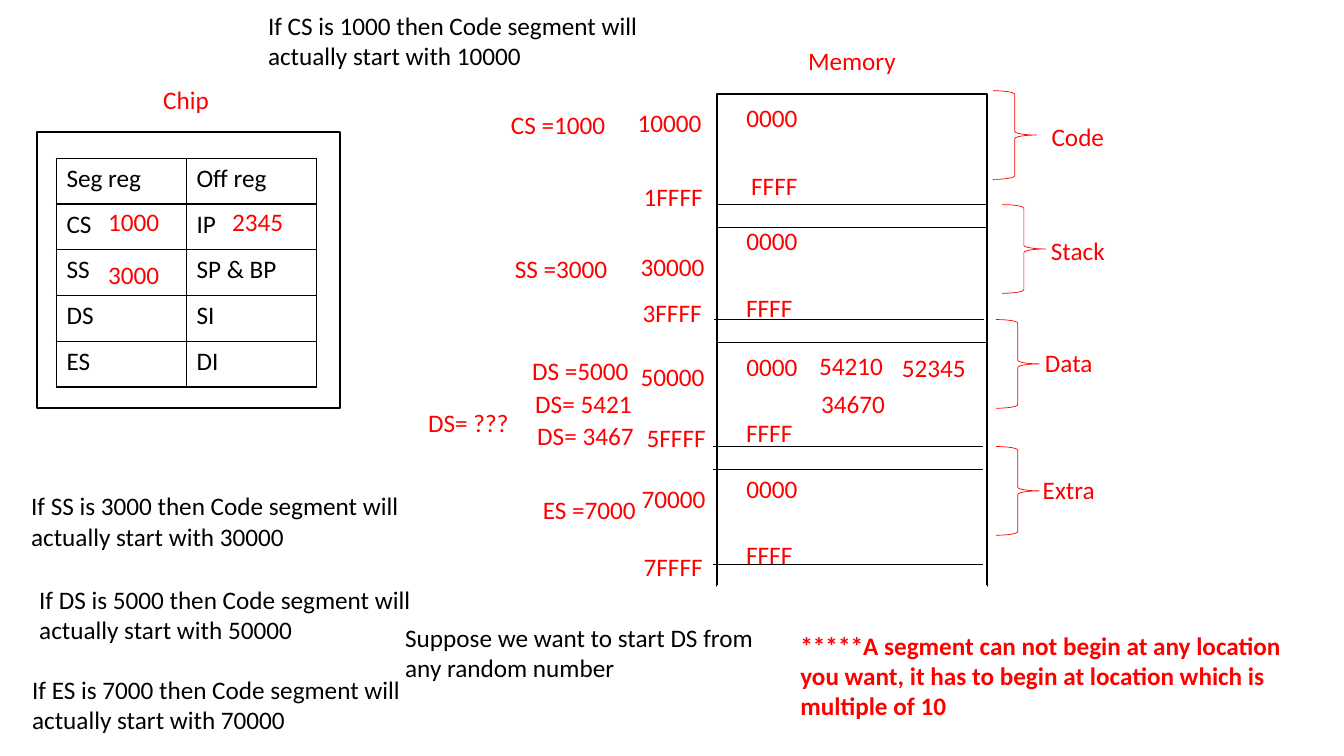
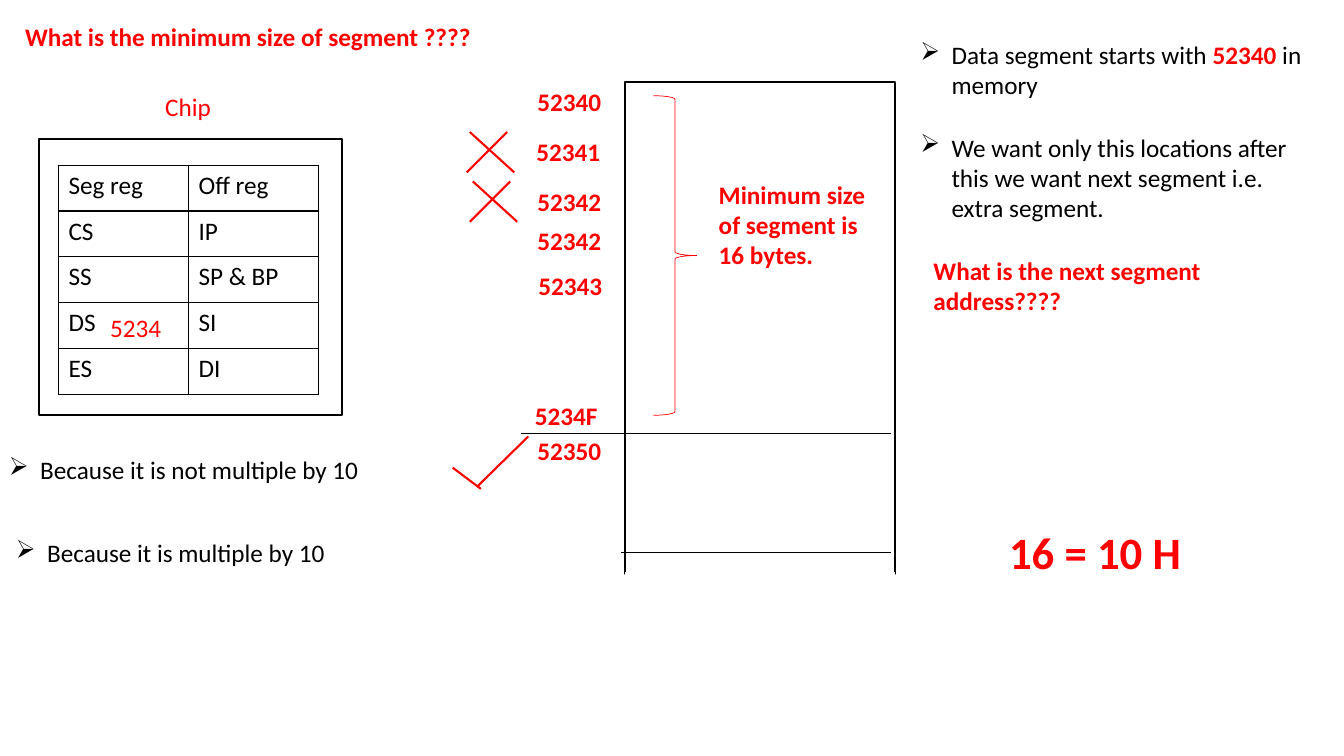
from dataclasses import dataclass

from lxml.etree import SubElement
from pptx import Presentation
from pptx.dml.color import RGBColor
from pptx.enum.shapes import MSO_CONNECTOR, MSO_SHAPE
from pptx.enum.text import MSO_AUTO_SIZE, PP_ALIGN
from pptx.oxml import parse_xml
from pptx.oxml.ns import nsdecls, qn
from pptx.slide import Slide
from pptx.util import Inches, Pt

# Shared look
FONT = "Calibri"
BLACK, RED, WHITE = "000000", "FF0000", "FFFFFF"
THICK, THIN = 1.5, 0.5
LINE_HEIGHT, TEXT_PADDING = 0.3, 0.1
BULLET_INDENT = 0.31
REGISTERS = [("Seg reg", "Off reg"), ("CS", "IP"), ("SS", "SP & BP"),
             ("DS", "SI"), ("ES", "DI")]


@dataclass
class Span:
    text: str
    color: str = BLACK
    bold: bool = False
    size: int = 18


@dataclass
class Label:
    """A short centred red text."""
    text: str
    left: float
    top: float
    width: float
    bold: bool = False
    wrap: bool = False


@dataclass
class Note:
    """A left-aligned block; each inner list is a paragraph."""
    paragraphs: list[list[Span]]
    left: float
    top: float
    width: float
    height: float
    bullet: bool = False


@dataclass
class Line:
    x1: float
    y1: float
    x2: float
    y2: float
    color: str = BLACK
    weight: float = THIN


@dataclass
class Segment:
    """A memory segment with its offsets and its brace."""
    name: str
    name_left: float
    name_top: float
    brace_left: float
    brace_top: float
    first_top: float
    last_left: float
    last_top: float


# Drawing functions
def rgb(color: str) -> RGBColor:
    return RGBColor.from_string(color)


def add_span(para, span: Span) -> None:
    run = para.add_run()
    run.text = span.text
    run.font.name = FONT
    run.font.size = Pt(span.size)
    run.font.bold = span.bold
    run.font.color.rgb = rgb(span.color)


def add_box(page: Slide, left: float, top: float, width: float, height: float,
            wrap: bool):
    box = page.shapes.add_textbox(Inches(left), Inches(top), Inches(width), Inches(height))
    box.text_frame.word_wrap = wrap
    box.text_frame.auto_size = MSO_AUTO_SIZE.SHAPE_TO_FIT_TEXT
    return box.text_frame


def add_label(page: Slide, label: Label) -> None:
    frame = add_box(page, label.left, label.top, label.width,
                    LINE_HEIGHT + TEXT_PADDING, label.wrap)
    para = frame.paragraphs[0]
    para.alignment = PP_ALIGN.CENTER
    add_span(para, Span(label.text, RED, label.bold))


def add_bullet(para) -> None:
    properties = para._p.get_or_add_pPr()
    properties.set("marL", str(Inches(BULLET_INDENT)))
    properties.set("indent", str(-Inches(BULLET_INDENT)))
    SubElement(properties, qn("a:buChar")).set("char", "\u27a2")


def add_note(page: Slide, note: Note) -> None:
    frame = add_box(page, note.left, note.top, note.width, note.height, True)
    for index, spans in enumerate(note.paragraphs):
        para = frame.add_paragraph() if index else frame.paragraphs[0]
        para.alignment = PP_ALIGN.LEFT
        if note.bullet:
            add_bullet(para)
        for span in spans:
            add_span(para, span)


def text_note(text: str, left: float, top: float, width: float, lines: int,
              color: str = BLACK, bold: bool = False, bullet: bool = False) -> Note:
    height = lines * LINE_HEIGHT + TEXT_PADDING
    return Note([[Span(text, color, bold)]], left, top, width, height, bullet)


def add_outline(page: Slide, kind: MSO_SHAPE, left: float, top: float, width: float,
                height: float, color: str, weight: float) -> None:
    shape = page.shapes.add_shape(kind, Inches(left), Inches(top), Inches(width),
                                  Inches(height))
    shape.shadow.inherit = False
    shape.fill.background()
    shape.line.color.rgb = rgb(color)
    shape.line.width = Pt(weight)


def add_brace(page: Slide, left: float, top: float, height: float) -> None:
    add_outline(page, MSO_SHAPE.RIGHT_BRACE, left, top, 0.43, height, RED, THIN)


def add_line(page: Slide, line: Line) -> None:
    connector = page.shapes.add_connector(
        MSO_CONNECTOR.STRAIGHT, Inches(line.x1), Inches(line.y1),
        Inches(line.x2), Inches(line.y2))
    connector.line.color.rgb = rgb(line.color)
    connector.line.width = Pt(line.weight)
    SubElement(connector._element.spPr, qn("a:effectLst"))


def add_memory(page: Slide, left: float, top: float, dividers: list[Line]) -> None:
    """Memory column whose bottom edge is left open."""
    width, height = 2.68, 4.88
    add_outline(page, MSO_SHAPE.RECTANGLE, left, top, width, height, BLACK, THICK)
    for divider in dividers:
        add_line(page, divider)
    bottom = top + height
    add_line(page, Line(left, bottom, left + width, bottom, WHITE, THICK))


def add_cell_borders(cell) -> None:
    properties = cell._tc.get_or_add_tcPr()
    for index, side in enumerate(("lnL", "lnR", "lnT", "lnB")):
        properties.insert(index, parse_xml(
            f'<a:{side} {nsdecls("a")} w="{Pt(1)}"><a:solidFill>'
            f'<a:srgbClr val="{BLACK}"/></a:solidFill></a:{side}>'))


def add_processor(page: Slide, left: float, top: float) -> None:
    """Framed register table with its heading."""
    add_outline(page, MSO_SHAPE.RECTANGLE, left, top, 3, 2.74, BLACK, THICK)
    frame = page.shapes.add_table(
        len(REGISTERS), 2, Inches(left + 0.19), Inches(top + 0.26),
        Inches(2.58), Inches(2.27))
    table = frame.table
    table.first_row = False
    table.horz_banding = False
    for row, names in enumerate(REGISTERS):
        for column, name in enumerate(names):
            cell = table.cell(row, column)
            cell.fill.background()
            add_cell_borders(cell)
            add_span(cell.text_frame.paragraphs[0], Span(name))
    add_label(page, Label("Chip", left + 1.12, top - 0.52, 0.71))


def add_cross(page: Slide, left: float, top: float) -> None:
    bottom = top + 0.4
    add_line(page, Line(left + 0.03, top, left + 0.47, bottom, RED, THICK))
    add_line(page, Line(left + 0.4, top, left, bottom, RED, THICK))


deck = Presentation()
deck.slide_width, deck.slide_height = Inches(13.33), Inches(7.5)
blank = deck.slide_layouts[6]

# Slide 1: segments in memory
page = deck.slides.add_slide(blank)
divider_starts = [(7.1, 2.03), (7.1, 2.26), (7.08, 3.17), (7.1, 3.4),
                  (7.07, 4.43), (7.07, 4.66), (7.07, 5.6)]
add_memory(page, 7.11, 0.93, [Line(x, y, x + 2.68, y) for x, y in divider_starts])
add_processor(page, 0.37, 1.31)

segments = [
    Segment("Code", 10.3, 1.15, 9.85, 0.9, 0.97, 7.35, 1.64),
    Segment("Stack", 10.3, 2.29, 9.94, 2.03, 2.19, 7.3, 2.85),
    Segment("Data", 10.21, 3.4, 9.88, 3.17, 3.44, 7.3, 4.09),
    Segment("Extra", 10.21, 4.66, 9.88, 4.43, 4.65, 7.3, 5.3),
]
for segment in segments:
    add_label(page, Label(segment.name, segment.name_left, segment.name_top, 0.78))
    add_brace(page, segment.brace_left, segment.brace_top, 0.88)
    add_label(page, Label("0000 ", 7.3, segment.first_top, 0.77))
    add_label(page, Label("FFFF", segment.last_left, segment.last_top, 0.66))

memory_labels = [
    Label("Memory", 7.91, 0.4, 1.08),
    # Register values
    Label("1000 ", 0.97, 2, 0.77),
    Label("2345", 2.2, 2, 0.71),
    Label("3000 ", 0.97, 2.52, 0.77),
    # Segment limits
    Label("10000 ", 6.22, 1.02, 0.9),
    Label("1FFFF ", 6.28, 1.75, 0.85),
    Label("30000 ", 6.25, 2.44, 0.9),
    Label("3FFFF ", 6.27, 2.9, 0.85),
    Label("50000 ", 6.25, 3.54, 0.9),
    Label("5FFFF ", 6.31, 4.14, 0.85),
    Label("70000 ", 6.26, 4.75, 0.9),
    Label("7FFFF ", 6.28, 5.42, 0.85),
    # Segment registers
    Label("CS =1000", 4.84, 1.04, 1.39, wrap=True),
    Label("SS =3000", 4.87, 2.46, 1.39, wrap=True),
    Label("DS =5000", 5.06, 3.48, 1.39, wrap=True),
    Label("ES =7000", 5.15, 4.85, 1.39, wrap=True),
    Label("DS= 5421 ", 5.2, 3.8, 1.23),
    Label("DS= 3467 ", 5.22, 4.12, 1.23),
    Label("DS= ???", 4.14, 3.99, 1.01),
    # Data addresses
    Label("54210 ", 8.02, 3.43, 0.9),
    Label("34670 ", 8.04, 3.8, 0.9),
    Label("52345 ", 8.84, 3.45, 0.9),
]
for label in memory_labels:
    add_label(page, label)

segment_starts = [("CS", 1000, 2.56, 0.05), ("SS", 3000, 0.21, 4.82),
                  ("DS", 5000, 0.29, 5.75), ("ES", 7000, 0.22, 6.64)]
for register, value, left, top in segment_starts:
    sentence = (f"If {register} is {value} then Code segment will "
                f"actually start with {value}0")
    add_note(page, text_note(sentence, left, top, 3.99, 2))
add_note(page, text_note("Suppose we want to start DS from any random number",
                         3.92, 6.12, 3.99, 2))
add_note(page, text_note(
    "*****A segment can not begin at any location you want, it has to begin at "
    "location which is multiple of 10", 7.84, 6.2, 5.36, 3, RED, True))

# Slide 2: minimum segment size
page = deck.slides.add_slide(blank)
add_processor(page, 0.39, 1.38)
add_label(page, Label("5234 ", 0.99, 3.05, 0.77))
add_memory(page, 6.2, 0.81, [Line(5.17, 4.3, 8.84, 4.3), Line(6.16, 5.48, 8.84, 5.48)])
add_brace(page, 6.48, 0.95, 3.17)

addresses = [("52340 ", 5.16, 0.81), ("52341 ", 5.15, 1.3), ("52342 ", 5.16, 1.8),
             ("52342 ", 5.16, 2.19), ("52343 ", 5.17, 2.63), ("5234F ", 5.13, 3.92),
             ("52350 ", 5.16, 4.27)]
for address, left, top in addresses:
    add_label(page, Label(address, left, top, 1.03, bold=True, wrap=True))

# Crosses and tick
add_cross(page, 4.63, 1.31)
add_cross(page, 4.66, 1.8)
add_line(page, Line(4.49, 4.64, 4.77, 4.85, RED, THICK))
add_line(page, Line(5.24, 4.33, 4.73, 4.83, RED, THICK))

size_notes = [
    text_note("What is the minimum size of segment ????", 0.15, 0.16, 5.43, 1, RED, True),
    Note([[Span("Data segment starts with "), Span("52340", RED, True),
           Span(" in memory")]], 9.03, 0.34, 4.16, 0.7, bullet=True),
    text_note("We want only this locations after this we want next segment i.e. "
              "extra segment.", 9.03, 1.26, 4.16, 3, bullet=True),
    text_note("What is the next segment address????", 9.16, 2.48, 3.6, 2, RED, True),
    text_note("Because it is not multiple by 10", -0.01, 4.46, 4.16, 1, bullet=True),
    text_note("Because it is multiple by 10", 0.06, 5.28, 4.16, 1, bullet=True),
    Note([[Span("Minimum size of segment is ", RED, True)],
          [Span("16 bytes.", RED, True)]], 7.03, 1.73, 1.89, 1),
    Note([[Span("16 = 10 H", RED, True, 32)]], 9.91, 5.16, 2.77, 0.64),
]
for note in size_notes:
    add_note(page, note)

deck.save("out.pptx")
